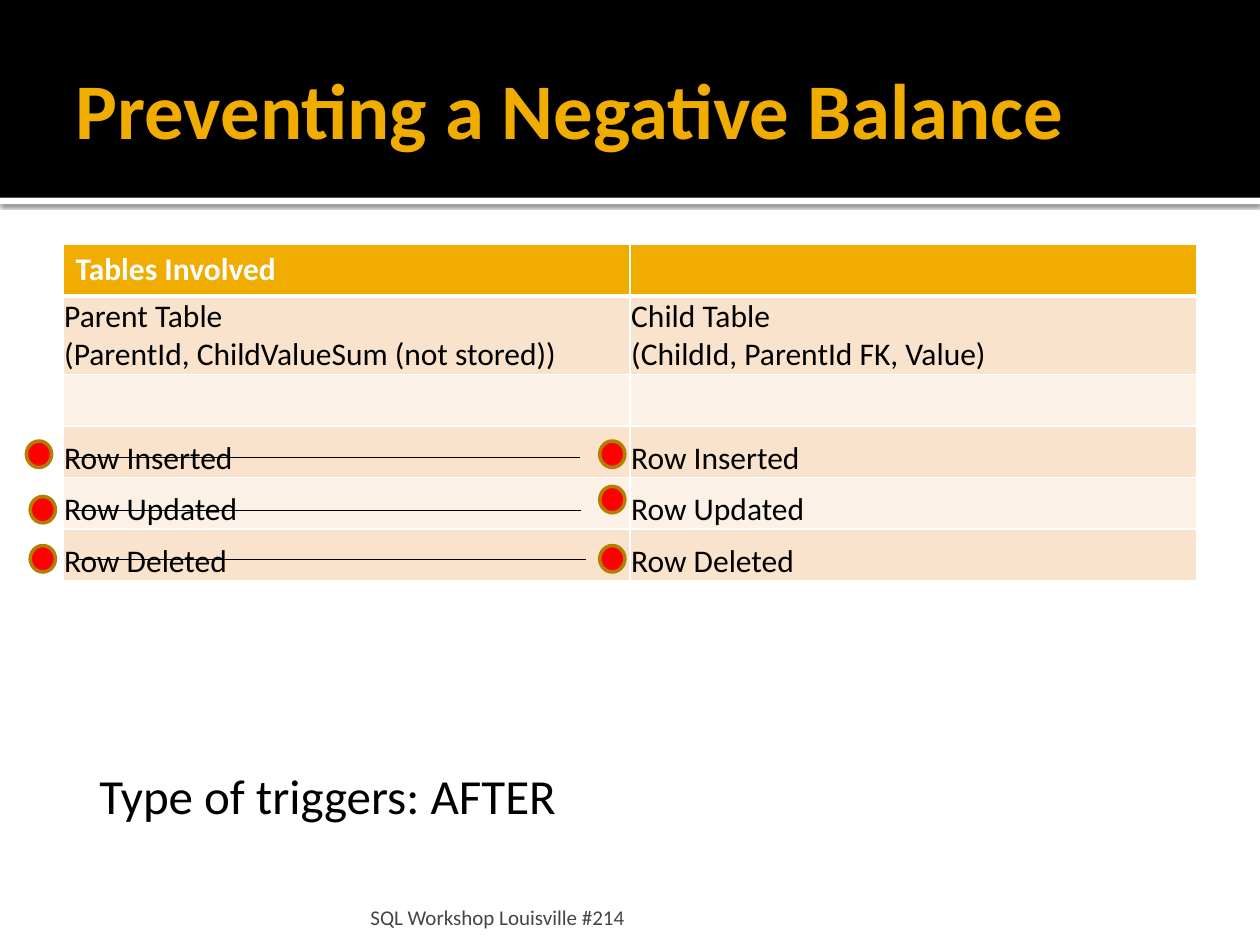
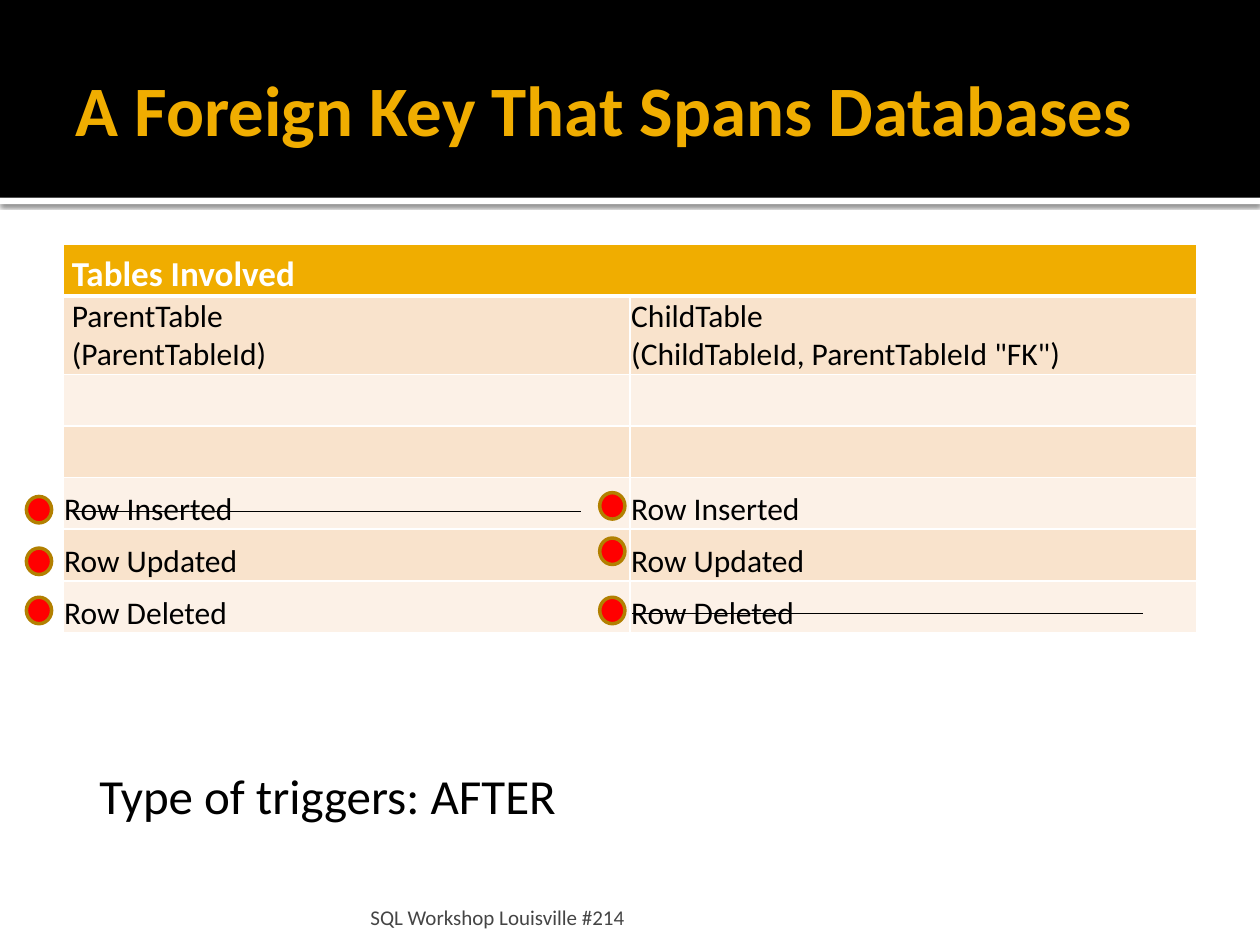
from typing import Any, NamedTuple

from lxml.etree import SubElement
from pptx import Presentation
from pptx.dml.color import RGBColor as Rgb
from pptx.enum.shapes import MSO_CONNECTOR as Link, MSO_SHAPE as Form
from pptx.enum.text import MSO_ANCHOR as Anchor, MSO_AUTO_SIZE as Fit, PP_ALIGN as Align
from pptx.oxml import parse_xml
from pptx.oxml.ns import nsdecls, qn
from pptx.util import Inches, Pt

BLACK = Rgb(0x00, 0x00, 0x00)
WHITE = Rgb(0xFF, 0xFF, 0xFF)
GOLD = Rgb(0xF0, 0xAD, 0x00)
BRONZE = Rgb(0xB2, 0x80, 0x00)
RED = Rgb(0xFF, 0x00, 0x00)
PEACH = Rgb(0xF9, 0xE3, 0xCC)
CREAM = Rgb(0xFC, 0xF1, 0xE7)
GREY = Rgb(0x45, 0x45, 0x45)

FACE = "Calibri"
ROW = 0.41
DOT = (0.2, 0.21)
STRIKE = 4.05
EVENTS = [(f"Row {act}",) * 2 for act in ("Inserted", "Updated", "Deleted")]
BLANK = ("", "")


class Spot(NamedTuple):
    left: float
    top: float


class Box(NamedTuple):
    left: float
    top: float
    width: float
    height: float


class Pad(NamedTuple):
    left: float
    top: float
    right: float
    bottom: float
    anchor: Any = Anchor.BOTTOM


class Label(NamedTuple):
    text: str
    box: Box
    size: float
    color: Rgb
    pad: Pad


class Page(NamedTuple):
    title: str
    size: float
    head: str
    head_size: float
    head_pad: Pad
    merge: bool
    names: tuple[str, str]
    name_pad: Pad
    gaps: int
    left_dots: list[Spot]
    right_top: float
    strikes: list[Spot]


TIGHT = Pad(0.01, 0.01, 0.01, 0)
PLAIN = Pad(0.1, 0.05, 0.1, 0.05, Anchor.TOP)
INDENT = TIGHT._replace(left=0.07)

TITLE_BOX = Box(0.5, 0.17, 9, 1.37)
TITLE_PAD = Pad(0.1, 0.05, 0.05, 0.05, Anchor.MIDDLE)
LABELS = [
    Label("Type of triggers:", Box(0.69, 6.03, 2.9, 0.57), 28, BLACK, PLAIN),
    Label("AFTER", Box(3.32, 6.03, 2.64, 0.57), 28, BLACK, PLAIN),
    Label("SQL Workshop Louisville #214", Box(2.89, 7.08, 6.02, 0.3), 12, GREY,
          Pad(0.05, 0.05, 0.05, 0)),
]

PAGES = [
    Page("Preventing a Negative Balance", 45, "Tables Involved", 18, PLAIN, False,
         ("Parent Table\n(ParentId, ChildValueSum (not stored))",
          "Child Table\n(ChildId, ParentId FK, Value)"), TIGHT, 1,
         [Spot(0.21, 3.5), Spot(0.24, 3.94), Spot(0.24, 4.33)], 3.5,
         [Spot(0.55, 3.63), Spot(0.56, 4.05), Spot(0.6, 4.44)]),
    Page("A Foreign Key That Spans Databases", 40.5, "Tables Involved", 20, INDENT, True,
         ("ParentTable\n(ParentTableId)",
          "ChildTable\n(ChildTableId, ParentTableId \"FK\")"), INDENT, 2,
         [Spot(0.21, 3.94), Spot(0.21, 4.35), Spot(0.21, 4.74)], 3.91,
         [Spot(0.56, 4.06), Spot(5.02, 4.87)]),
]


def apply(thing: Any, values: dict[str, Any]) -> None:
    for name, value in values.items():
        setattr(thing, name, value)


def place(box: Box) -> list[int]:
    return [Inches(side) for side in box]


def margins(pad: Pad) -> dict[str, int]:
    return {f"margin_{side}": Inches(getattr(pad, side))
            for side in ("left", "top", "right", "bottom")}


def style(frame: Any, size: float, color: Rgb, bold: bool = False) -> None:
    for para in frame.paragraphs:
        para.alignment = Align.LEFT
        for run in para.runs:
            apply(run.font, {"name": FACE, "size": Pt(size), "bold": bold})
            run.font.color.rgb = color


def fill_frame(frame: Any, text: str, pad: Pad) -> None:
    apply(frame, {"text": text, "word_wrap": True, "auto_size": Fit.NONE,
                  "vertical_anchor": pad.anchor, **margins(pad)})


def add_form(slide: Any, form: Any, box: Box, fill: Rgb) -> Any:
    shape = slide.shapes.add_shape(form, *place(box))
    shape.shadow.inherit = False
    shape.fill.solid()
    shape.fill.fore_color.rgb = fill
    shape.line.fill.background()
    return shape


def add_bands(slide: Any) -> None:
    rule = add_form(slide, Form.RECTANGLE, Box(0, 1.57, 10, 0.05), WHITE)
    rule.element.spPr.find(qn("a:effectLst")).append(parse_xml(
        f'<a:outerShdw {nsdecls("a")} blurRad="{Pt(2.5)}" dist="{Pt(0.8)}" dir="5400000" '
        'algn="t" rotWithShape="0"><a:srgbClr val="000000"><a:alpha val="60000"/>'
        '</a:srgbClr></a:outerShdw>'))
    band = add_form(slide, Form.RECTANGLE, Box(0, 0, 10, 1.57), BLACK)
    for shape in (rule, band):
        slide.shapes.title.element.addprevious(shape.element)


def add_title(slide: Any, page: Page) -> None:
    title = slide.shapes.title
    apply(title, dict(zip(("left", "top", "width", "height"), place(TITLE_BOX))))
    fill_frame(title.text_frame, page.title, TITLE_PAD)
    style(title.text_frame, page.size, GOLD, True)


def edge(cell: Any, widths: dict[str, float]) -> None:
    props = cell._tc.get_or_add_tcPr()
    for spot, (side, width) in enumerate(widths.items()):
        props.insert(spot, parse_xml(
            f'<a:ln{side} {nsdecls("a")} w="{Pt(width)}"><a:solidFill>'
            f'<a:srgbClr val="{WHITE}"/></a:solidFill></a:ln{side}>'))


def add_grid(slide: Any, page: Page) -> None:
    rows = [(page.head, ""), page.names, *[BLANK] * page.gaps, *EVENTS]
    box = Box(0.5, 1.94, 9, ROW * len(rows))
    grid = slide.shapes.add_table(len(rows), 2, *place(box)).table
    apply(grid, {"first_row": False, "horz_banding": False})
    for r, texts in enumerate(rows):
        grid.rows[r].height = Inches(ROW)
        fill = GOLD if r == 0 else PEACH if r % 2 else CREAM
        for c, text in enumerate(texts):
            cell = grid.cell(r, c)
            pad = page.head_pad if r == 0 else TIGHT
            if (r, c) == (1, 0):
                pad = page.name_pad
            if not text:
                pad = PLAIN
            apply(cell, {"text": text, "vertical_anchor": pad.anchor, **margins(pad)})
            style(cell.text_frame, page.head_size if r == 0 else 18,
                  BLACK if r else WHITE, r == 0)
            cell.fill.solid()
            cell.fill.fore_color.rgb = fill
            edge(cell, {"L": 1, "R": 1, "T": 3 if r == 1 else 1, "B": 1 if r else 3})
    if page.merge:
        grid.cell(0, 0).merge(grid.cell(0, 1))


def add_strike(slide: Any, spot: Spot) -> None:
    left, top = Inches(spot.left), Inches(spot.top)
    line = slide.shapes.add_connector(Link.STRAIGHT, left, top, left + Inches(STRIKE), top)
    line.line.color.rgb = BLACK
    line.line.width = Pt(0.75)
    SubElement(line.element.spPr, qn("a:effectLst"))


def add_dot(slide: Any, spot: Spot) -> None:
    dot = add_form(slide, Form.OVAL, Box(*spot, *DOT), RED)
    dot.line.color.rgb = BRONZE
    dot.line.width = Pt(2)


def add_label(slide: Any, label: Label) -> None:
    frame = slide.shapes.add_textbox(*place(label.box)).text_frame
    fill_frame(frame, label.text, label.pad)
    style(frame, label.size, label.color)


def add_page(deck: Any, page: Page) -> None:
    slide = deck.slides.add_slide(deck.slide_layouts[5])
    add_bands(slide)
    add_title(slide, page)
    add_grid(slide, page)
    for spot in page.strikes:
        add_strike(slide, spot)
    right_dots = [Spot(4.76, page.right_top + step) for step in (0, 0.36, 0.83)]
    for spot in page.left_dots + right_dots:
        add_dot(slide, spot)
    for label in LABELS:
        add_label(slide, label)


def main() -> None:
    deck = Presentation()
    apply(deck, {"slide_width": Inches(10), "slide_height": Inches(7.5)})
    for page in PAGES:
        add_page(deck, page)
    deck.save("out.pptx")


if __name__ == "__main__":
    main()
